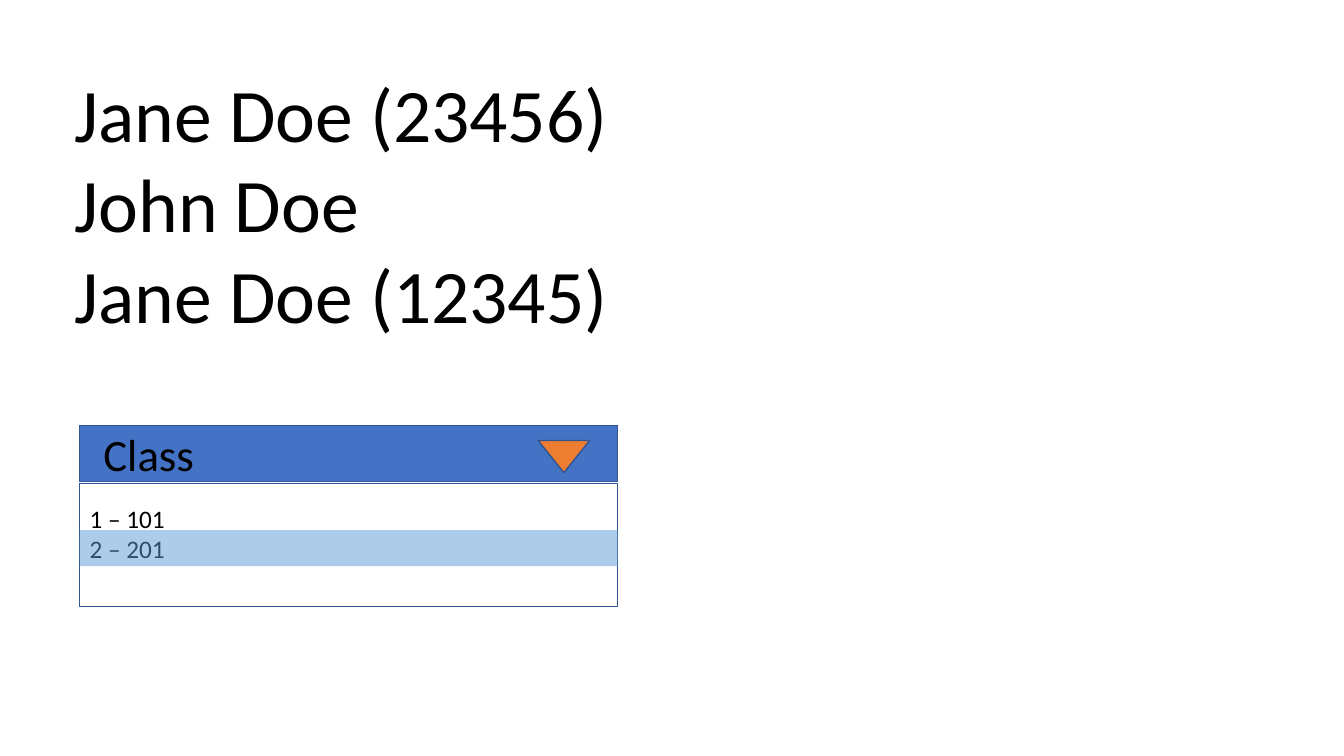
from lxml import etree
from pptx import Presentation
from pptx import util as u
from pptx.dml.color import RGBColor
from pptx.enum import shapes, text
from pptx.oxml.ns import qn

BLACK = RGBColor(0x00, 0x00, 0x00)
BLUE = RGBColor(0x44, 0x72, 0xC4)
ORANGE = RGBColor(0xED, 0x7D, 0x31)
OUTLINE = RGBColor(0x32, 0x54, 0x91)
HIGHLIGHT = RGBColor(0x5B, 0x9B, 0xD5)

NAMES = ["Jane Doe (23456)", "John Doe", "Jane Doe (12345)"]
OPTIONS = ["1 – 101", "2 – 201"]
TITLE = ["Class"]

MENU_LEFT, MENU_WIDTH = 2.01, 13.56
RECTANGLE = shapes.MSO_SHAPE.RECTANGLE
TRIANGLE = shapes.MSO_SHAPE.ISOSCELES_TRIANGLE


def add_text(slide, box, lines, size, wrap=False, align=text.PP_ALIGN.LEFT):
    frame = slide.shapes.add_textbox(*map(u.Cm, box)).text_frame
    frame.word_wrap = wrap
    frame.text = "\n".join(lines)
    font_format = {"name": "Calibri", "size": u.Pt(size)}
    for paragraph in frame.paragraphs:
        paragraph.alignment = align
        font = paragraph.runs[0].font
        font.color.rgb = BLACK
        for name, value in font_format.items():
            setattr(font, name, value)


def add_shape(slide, kind, box, fill=None, outline=OUTLINE, rotation=0):
    shape = slide.shapes.add_shape(kind, *map(u.Cm, box))
    shape.shadow.inherit = False
    shape.rotation = rotation
    if fill is None:
        shape.fill.background()
    else:
        shape.fill.solid()
        shape.fill.fore_color.rgb = fill
    if outline is None:
        shape.line.fill.background()
    else:
        shape.line.color.rgb = outline
        shape.line.width = u.Pt(1)
    return shape


def main():
    presentation = Presentation()
    page = {"slide_width": u.Cm(33.87), "slide_height": u.Cm(19.05)}
    for name, value in page.items():
        setattr(presentation, name, value)
    slide = presentation.slides.add_slide(presentation.slide_layouts[6])

    add_text(slide, (1.63, 1.55, 14.1, 7.19), NAMES, 54)
    add_shape(slide, RECTANGLE, (MENU_LEFT, 10.72, MENU_WIDTH, 1.42), BLUE)
    add_shape(slide, TRIANGLE, (13.56, 11.1, 1.3, 0.81), ORANGE, rotation=180)
    add_shape(slide, RECTANGLE, (MENU_LEFT, 12.19, MENU_WIDTH, 3.1))
    add_text(slide, (MENU_LEFT, 12.55, 13.79, 3.33), OPTIONS, 18, wrap=True)
    selection = add_shape(slide, RECTANGLE, (MENU_LEFT, 13.36, MENU_WIDTH, 0.91),
                          HIGHLIGHT, outline=None)
    color = selection.fill._xPr.find(qn("a:solidFill"))[0]
    etree.SubElement(color, qn("a:alpha")).set("val", "50000")
    add_text(slide, (2.34, 10.62, 2.82, 1.63), TITLE, 32, align=text.PP_ALIGN.CENTER)

    presentation.save("out.pptx")


if __name__ == "__main__":
    main()
